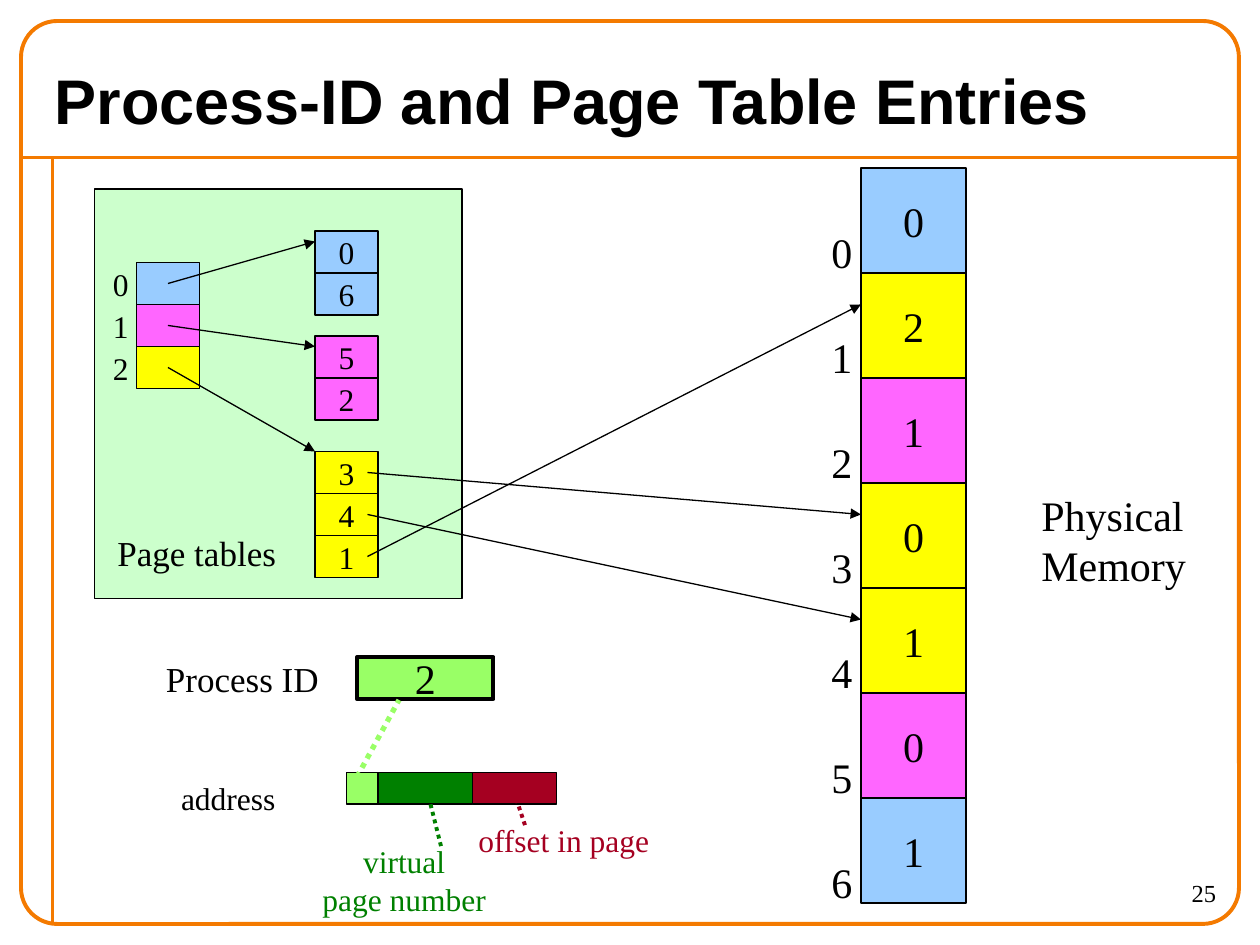
from lxml import etree
from pptx import Presentation
from pptx.dml.color import RGBColor
from pptx.enum.dml import MSO_LINE
from pptx.enum.shapes import MSO_CONNECTOR, MSO_SHAPE
from pptx.enum.text import MSO_ANCHOR, MSO_AUTO_SIZE, PP_ALIGN
from pptx.oxml.ns import qn
from pptx.util import Pt

LEFT, CENTER, RIGHT = PP_ALIGN.LEFT, PP_ALIGN.CENTER, PP_ALIGN.RIGHT
TOP, MIDDLE = MSO_ANCHOR.TOP, MSO_ANCHOR.MIDDLE
RECT, ROUNDED = MSO_SHAPE.RECTANGLE, MSO_SHAPE.ROUNDED_RECTANGLE
DOTTED = MSO_LINE.ROUND_DOT
SERIF, SANS = "Times New Roman", "Arial"
COLORS = {
    "black": "000000", "orange": "F47A00", "blue": "99CCFF",
    "pink": "FF66FF", "yellow": "FFFF00", "mint": "CCFFCC",
    "lime": "99FF66", "green": "008000", "red": "A50021",
}


def rgb(name):
    return RGBColor.from_string(COLORS[name])


def write(shape, text, size, color="black", align=CENTER, anchor=MIDDLE,
          font=SERIF, bold=False, wrap=False, margin=7.2):
    frame = shape.text_frame
    frame.text = text
    frame.word_wrap = wrap
    frame.vertical_anchor = anchor
    frame.margin_left = frame.margin_right = Pt(margin)
    for para in frame.paragraphs:
        para.alignment = align
        for span in para.runs:
            span.font.name = font
            span.font.size = Pt(size)
            span.font.bold = bold
            span.font.color.rgb = rgb(color)


def add_box(page, left, top, width, height, fill=None, text="", size=18,
            line="black", weight=0.75, kind=RECT):
    box = page.shapes.add_shape(kind, Pt(left), Pt(top), Pt(width), Pt(height))
    box.shadow.inherit = False
    if fill:
        box.fill.solid()
        box.fill.fore_color.rgb = rgb(fill)
    else:
        box.fill.background()
    box.line.color.rgb = rgb(line)
    box.line.width = Pt(weight)
    if text:
        write(box, text, size)
    return box


def add_label(page, left, top, width, height, text, size, **style):
    label = page.shapes.add_textbox(Pt(left), Pt(top), Pt(width), Pt(height))
    write(label, text, size, **style)


def add_line(page, start, end, color="black", weight=0.75, dash=None,
             arrow=False):
    line = page.shapes.add_connector(
        MSO_CONNECTOR.STRAIGHT, *(Pt(value) for value in (*start, *end)))
    line.line.color.rgb = rgb(color)
    line.line.width = Pt(weight)
    if dash:
        line.line.dash_style = dash
    if arrow:
        etree.SubElement(line.line._get_or_add_ln(), qn("a:tailEnd"),
                         type="triangle")
    etree.SubElement(line._element.spPr, qn("a:effectLst"))


def add_stack(page, left, top, width, height, cells, size):
    """Stack equal cells, each a (text, fill) pair, from the top down."""
    for row, (text, fill) in enumerate(cells):
        add_box(page, left, top + row * height, width, height, fill, text, size)


def draw_frame(page, left, top, width, height):
    rule = top + 78
    add_line(page, (left, rule), (left + width, rule), "orange", 2.25)
    add_line(page, (left + 18, rule), (left + 18, top + height), "orange", 2.25)
    border = add_box(page, left, top, width, height, line="orange",
                     weight=2.25, kind=ROUNDED)
    border.adjustments[0] = 0.04


def draw_title(page, left, top, width, height):
    title = page.shapes.title
    title.left, title.top = Pt(left), Pt(top)
    title.width, title.height = Pt(width), Pt(height)
    write(title, "Process-ID and Page Table Entries", 36, align=LEFT,
          font=SANS, bold=True, wrap=True)
    title.text_frame.auto_size = MSO_AUTO_SIZE.NONE


def draw_address(page, left, top):
    """Process ID register above the three fields of an address."""
    add_box(page, left + 116, top + 3.5, 78, 24, "lime", "2", 24, weight=2.25)
    add_label(page, left - 4, top, 109, 32, "Process ID", 20, anchor=TOP,
              wrap=True)

    # Address fields
    fields_top = top + 69.5
    add_label(page, left - 3.5, fields_top, 80, 29, "address", 18,
              align=RIGHT, anchor=TOP, wrap=True)
    add_label(page, left + 86, top + 105.5, 114, 50, "virtual\npage number",
              18, color="green", anchor=TOP, wrap=True)
    add_label(page, left + 170, top + 93.5, 120, 29, "offset in page", 18,
              color="red", align=RIGHT, anchor=TOP, wrap=True)
    field_left = left + 110
    for width, fill in ((18, "lime"), (54, "green"), (48, "red")):
        add_box(page, field_left, fields_top, width, 18, fill)
        field_left += width

    # Dotted leaders
    for start, end, color, weight in (
        ((164, 111.5), (158, 87.5), "green", 2.25),
        ((212, 99.5), (206, 81.5), "red", 2.25),
        ((116, 72), (140, 28), "lime", 3),
    ):
        add_line(page, (left + start[0], top + start[1]),
                 (left + end[0], top + end[1]), color, weight, DOTTED)


def draw_memory(page, left, top, side):
    """Column of physical frames with frame numbers on its left."""
    fills = ("blue", "yellow", "pink", "yellow", "yellow", "pink", "blue")
    add_stack(page, left, top, side, side, list(zip("0210101", fills)), 24)
    for row in range(len(fills)):
        add_label(page, left - 24, top + side * (row + 0.5), 28, 36, str(row),
                  24, align=LEFT, anchor=TOP, wrap=True)
    add_label(page, left + 96, top + 180, 105, 65, "Physical\nMemory", 24,
              align=LEFT, anchor=TOP, wrap=True)


def draw_page_tables(page, left, top, memory_left, memory_top, side):
    """Process directory, its page tables, and arrows into memory."""
    add_box(page, left, top, 210, 234, "mint")
    width, height = 36, 24
    directory_left, directory_top = left + 24, top + 42
    table_left = left + 126
    # Entries, fill, table top and arrow end, both down from the panel top
    tables = (("06", "blue", 24, 30), ("52", "pink", 84, 90),
              ("341", "yellow", 150, 150))

    add_stack(page, directory_left, directory_top, width, height,
              [("", fill) for _, fill, _, _ in tables], 18)
    for row, (entries, fill, offset, arrow_end) in enumerate(tables):
        row_top = directory_top + row * height
        add_stack(page, table_left, top + offset, width, height,
                  [(entry, fill) for entry in entries], 18)
        add_line(page, (directory_left + width / 2, row_top + height / 2),
                 (table_left, top + arrow_end), arrow=True)
        add_label(page, left + 6, row_top, 18, height, str(row), 18, margin=0)

    # Entries of the last table point at their frames
    entries, _, offset, _ = tables[-1]
    for row, entry in enumerate(entries):
        add_line(page, (table_left + 30, top + offset + (row + 0.5) * height),
                 (memory_left, memory_top + int(entry) * side + 18), arrow=True)
    add_label(page, left + 6, top + 192, 112, 32, "Page tables", 20,
              align=LEFT, anchor=TOP, wrap=True)


def main():
    deck = Presentation()
    deck.slide_width, deck.slide_height = Pt(720), Pt(540)
    page = deck.slides.add_slide(deck.slide_layouts[5])
    memory_left, memory_top, side = 492, 96, 60

    draw_frame(page, 12, 12, 696, 516)
    add_label(page, 630, 498, 72, 30, "25", 14, align=RIGHT, anchor=TOP,
              wrap=True)
    draw_title(page, 24, 30, 672, 54)
    draw_address(page, 88, 372)
    draw_memory(page, memory_left, memory_top, side)
    draw_page_tables(page, 54, 108, memory_left, memory_top, side)
    deck.save("out.pptx")


if __name__ == "__main__":
    main()
